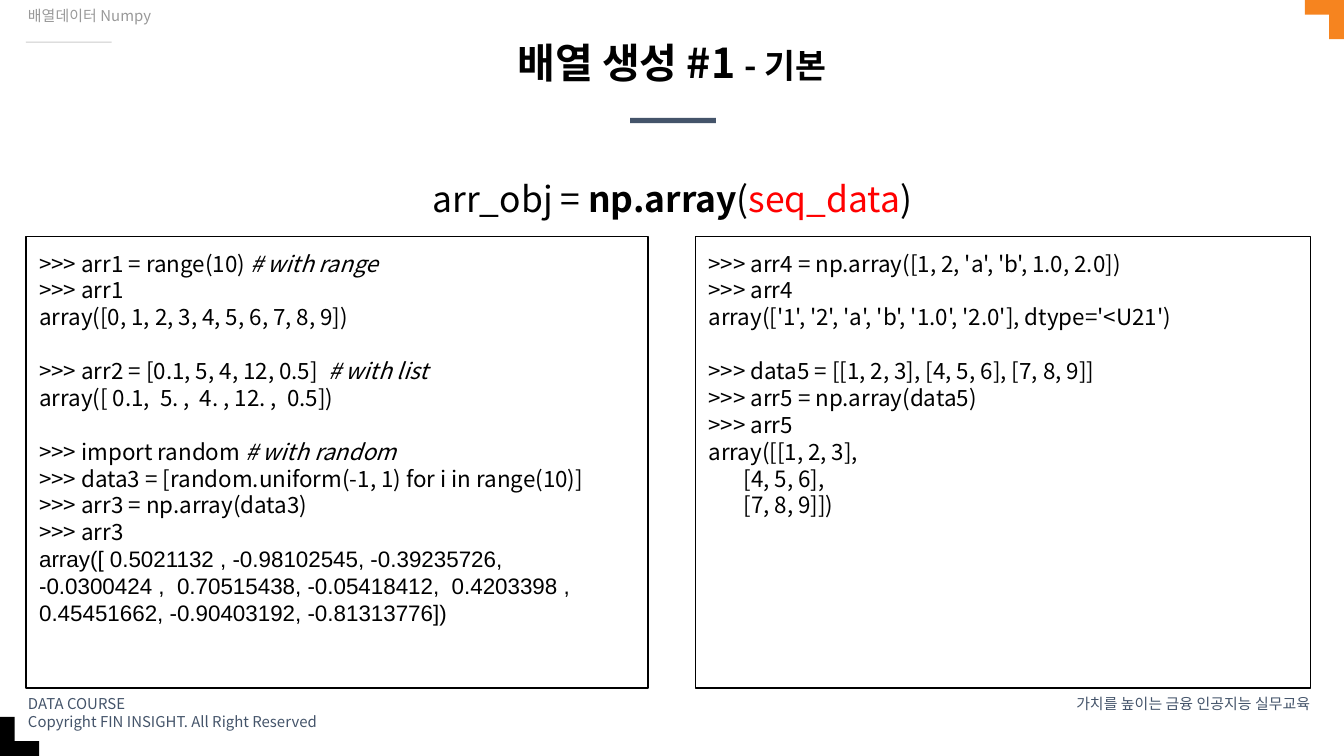
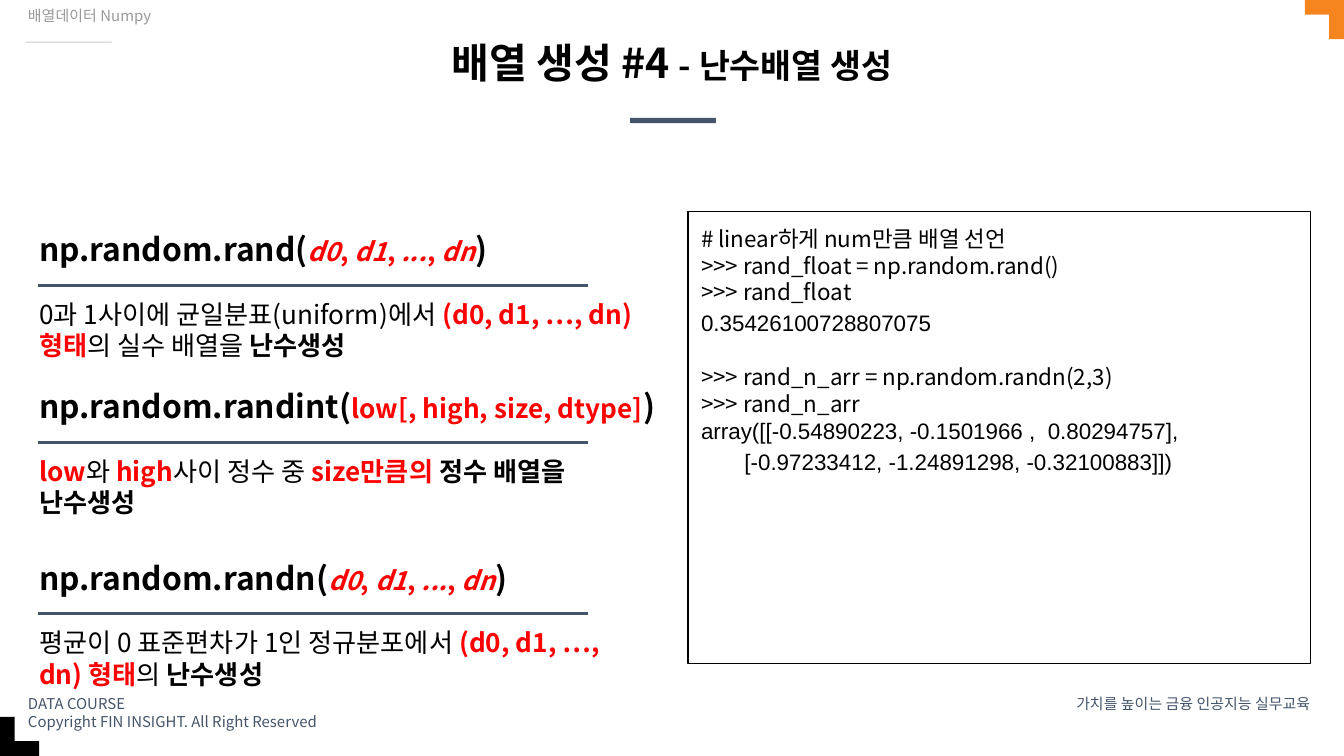
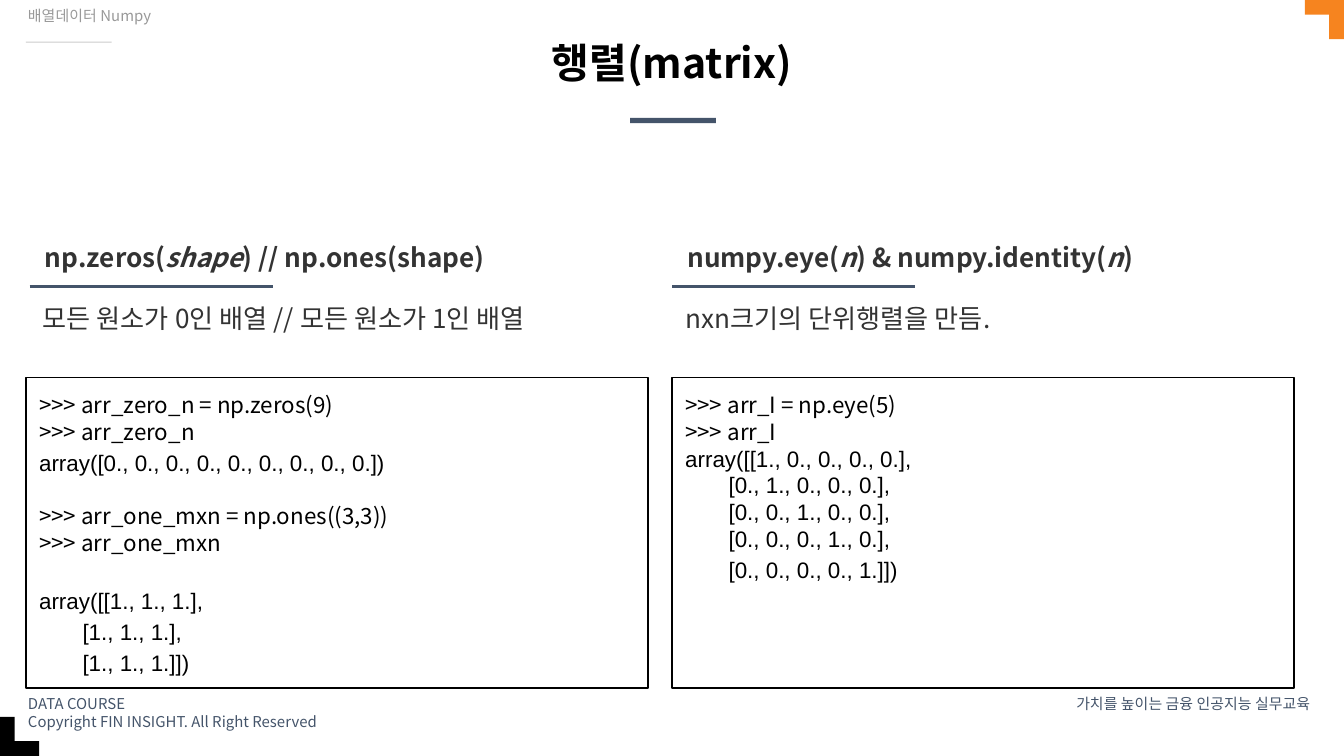
from lxml import etree
from pptx import Presentation
from pptx import util as u
from pptx.dml.color import RGBColor
from pptx.enum import shapes, text
from pptx.oxml import ns

WIDE, HIGH = 25.4, 14.29
SANS, ARIAL = "Noto Sans CJK KR", "Arial"
BLACK, NAVY, GRAY, DARK = "000000", "44546A", "999999", "333333"
RED, ORANGE, RULE = "FF0000", "F6841F", "CCCCCC"
LEFT, MID, RIGHT = text.PP_ALIGN.LEFT, text.PP_ALIGN.CENTER, text.PP_ALIGN.RIGHT
TOP, CENTER = text.MSO_ANCHOR.TOP, text.MSO_ANCHOR.MIDDLE
GAP = 14.4

BOLD = {"bold": True}
ITAL = {"italic": True}
HOT = {"bold": True, "hue": RED}
ARG = {"bold": True, "hue": RED, "size": 14}
ARGI = {**ARG, "italic": True}


def color(hue):
    return RGBColor.from_string(hue)


def place(box):
    return [u.Cm(n) for n in box]


def add_run(para, words, size, hue=BLACK, font=SANS, bold=False, italic=False):
    run = para.add_run()
    run.text = words
    face = run.font
    face.size, face.bold, face.italic = u.Pt(size), bold, italic
    face.color.rgb = color(hue)
    face.name = font
    east = etree.SubElement(run._r.get_or_add_rPr(), ns.qn("a:ea"))
    east.set("typeface", font)


def set_frame(frame, pad, anchor=TOP):
    frame.word_wrap = True
    frame.auto_size = text.MSO_AUTO_SIZE.NONE
    frame.vertical_anchor = anchor
    frame.margin_left = frame.margin_right = u.Cm(pad[0])
    frame.margin_top = frame.margin_bottom = u.Cm(pad[1])


def next_para(frame, index, align=LEFT):
    para = frame.add_paragraph() if index else frame.paragraphs[0]
    para.alignment = align
    return para


def write(frame, lines, align=LEFT, **base):
    for index, runs in enumerate(lines):
        para = next_para(frame, index, align)
        for words, style in runs:
            add_run(para, words, **{**base, **style})


def label(slide, box, lines, pad=(0.25, 0.25), anchor=TOP, **base):
    frame = slide.shapes.add_textbox(*place(box)).text_frame
    set_frame(frame, pad, anchor)
    write(frame, lines, **base)


def bar(slide, box, hue):
    shape = slide.shapes.add_shape(shapes.MSO_SHAPE.RECTANGLE, *place(box))
    shape.shadow.inherit = False
    shape.fill.solid()
    shape.fill.fore_color.rgb = color(hue)
    shape.line.fill.background()


def rule(slide, x, y, width):
    line = slide.shapes.add_connector(
        shapes.MSO_CONNECTOR.STRAIGHT, *place((x, y, x + width, y)))
    line.line.color.rgb = color(NAVY)
    line.line.width = u.Pt(1.5)
    etree.SubElement(line._element.spPr, ns.qn("a:effectLst"))


def code(slide, box, blocks):
    pane = slide.shapes.add_shape(shapes.MSO_SHAPE.RECTANGLE, *place(box))
    pane.shadow.inherit = False
    pane.fill.background()
    pane.line.color.rgb = color(BLACK)
    pane.line.width = u.Pt(0.75)
    frame = pane.text_frame
    set_frame(frame, (0.25, 0.25))
    count = 0
    for block in blocks:
        for row, item in enumerate(block):
            words, font, space = (item, SANS, None) if isinstance(item, str) else item
            para = next_para(frame, count)
            if count and not row:
                para.space_before = u.Pt(GAP)
            if space:
                para.line_spacing = space
            head, mark, note = words.partition("# ")
            if head and mark:
                add_run(para, head, 12, font=font)
                add_run(para, mark + note, 12, font=font, italic=True)
            else:
                add_run(para, words, 12, font=font)
            count += 1


def out(words, space=None):
    return words, ARIAL, space


def corner(slide, x, y, side, edge, hue):
    long, thin = 0.74, 0.28
    bar(slide, (x, y + edge * (long - thin), long, thin), hue)
    bar(slide, (x + side * (long - thin), y, thin, long), hue)


def base(deck, title):
    slide = deck.slides.add_slide(deck.slide_layouts[5])
    bar(slide, (11.91, 2.23, 1.62, 0.1), NAVY)
    bar(slide, (0.49, 0.79, 1.62, 0.02), RULE)
    corner(slide, 0, HIGH - 0.74, 0, 1, BLACK)
    corner(slide, WIDE - 0.74, 0, 1, 0, ORANGE)
    thin = (0.25, 0.13)
    label(slide, (0.28, 13, 7.57, 0.69),
          [[("DATA COURSE", {})], [("Copyright FIN INSIGHT. All Right Reserved", {})]],
          thin, size=8, hue=NAVY)
    label(slide, (19.71, 13, 5.31, 0.43), [[("가치를 높이는 금융 인공지능 실무교육", {})]],
          thin, align=RIGHT, size=8, hue=NAVY)
    label(slide, (0.28, 0, 7.21, 1.02), [[("배열데이터 Numpy", {})]],
          thin, size=8, hue=GRAY)
    head = slide.shapes.title
    head.left, head.top, head.width, head.height = place((2.77, 0.76, 19.86, 1.02))
    set_frame(head.text_frame, (0.1, 0.05))
    write(head.text_frame, [title], MID, size=22, bold=True)
    head.text_frame.paragraphs[0].line_spacing = 0.9
    return slide


def entry(slide, x, y, head, body):
    label(slide, (x, y - 1.38, 12.22, 1.4), [head], anchor=CENTER, size=17, bold=True)
    rule(slide, x + 0.23, y, 10.39)
    label(slide, (x, y, 11.76, 1.22), [body], size=14)


def topic(slide, x, head, body):
    y = 5.41
    label(slide, (x + 0.04, y - 1.09, 11.9, 2.2), [head], size=14, hue=DARK, bold=True)
    rule(slide, x, y, 4.59)
    label(slide, (x, y + 0.05, 11.72, 2.2), [[(body, {})]], size=14, hue=DARK)


def basics(deck):
    slide = base(deck, [("배열 생성 #1 ", {}), ("- 기본", {"size": 18})])
    y, high = 4.47, 8.54
    code(slide, (0.49, y, 11.76, high), [
        [">>> arr1 = range(10) # with range", ">>> arr1",
         "array([0, 1, 2, 3, 4, 5, 6, 7, 8, 9])"],
        [">>> arr2 = [0.1, 5, 4, 12, 0.5]  # with list",
         "array([ 0.1,  5. ,  4. , 12. ,  0.5])"],
        [">>> import random # with random",
         ">>> data3 = [random.uniform(-1, 1) for i in range(10)]",
         ">>> arr3 = np.array(data3)", ">>> arr3",
         out("array([ 0.5021132 , -0.98102545, -0.39235726, -0.0300424 ,  "
             "0.70515438, -0.05418412,  0.4203398 ,  0.45451662, "
             "-0.90403192, -0.81313776])")]])
    label(slide, (6.6, 3.1, 12.22, 1.4),
          [[("arr_obj = ", {}), ("np.array", BOLD), ("(", {}),
            ("seq_data", {"hue": RED}), (")", {})]], align=MID, size=19)
    code(slide, (13.14, y, 11.63, high), [
        [">>> arr4 = np.array([1, 2, 'a', 'b', 1.0, 2.0])", ">>> arr4",
         "array(['1', '2', 'a', 'b', '1.0', '2.0'], dtype='<U21')"],
        [">>> data5 = [[1, 2, 3], [4, 5, 6], [7, 8, 9]]",
         ">>> arr5 = np.array(data5)", ">>> arr5",
         "array([[1, 2, 3],", "       [4, 5, 6],", "       [7, 8, 9]])"]])


def randoms(deck):
    slide = base(deck, [("배열 생성 #4 ", {}), ("- 난수배열 생성", {"size": 18})])
    code(slide, (13, 4, 11.77, 8.54), [
        ["# linear하게 num만큼 배열 선언", ">>> rand_float = np.random.rand()",
         ">>> rand_float", out("0.35426100728807075", 1.15)],
        [">>> rand_n_arr = np.random.randn(2,3)", ">>> rand_n_arr",
         out("array([[-0.54890223, -0.1501966 ,  0.80294757],"),
         out("       [-0.97233412, -1.24891298, -0.32100883]])", 1.15)]])
    dims = [("d0", ARGI), (", ", ARG), ("d1", ARGI), (", ", ARG),
            ("...", ARGI), (", ", ARG), ("dn", ARGI), (")", {})]
    form = ("(d0, d1, …, dn) 형태", HOT)
    made = ("난수생성", BOLD)
    items = [
        (5.39, [("np.random.rand(", {})] + dims,
         [("0과 1사이에 균일분표(uniform)에서 ", {}), form, ("의 실수 배열을 ", {}), made]),
        (8.36, [("np.random.randint(", {}), ("low[, high, size, dtype]", ARG), (")", {})],
         [("low", HOT), ("와", {}), (" high", HOT), ("사이 정수 중", {}),
          (" size만큼의 ", HOT), ("정수 배열을 난수생성", BOLD)]),
        (11.6, [("np.random.randn(", {})] + dims,
         [("평균이 0 표준편차가 1인 정규분포에서 ", {}), form, ("의 ", {}), made])]
    for y, head, body in items:
        entry(slide, 0.49, y, head, body)


def matrix(deck):
    slide = base(deck, [("행렬(matrix)", {})])
    topic(slide, 0.56,
          [("np.zeros(", {}), ("shape", ITAL), (") // np.ones(shape)", {})],
          "모든 원소가 0인 배열 // 모든 원소가 1인 배열")
    topic(slide, 12.7,
          [("numpy.eye(", {}), ("n", ITAL), (") & numpy.identity(", {}),
           ("n", ITAL), (")", {})],
          "nxn크기의 단위행렬을 만듬.")
    y, wide, high = 7.14, 11.76, 5.87
    code(slide, (0.49, y, wide, high), [
        [">>> arr_zero_n = np.zeros(9)", ">>> arr_zero_n",
         out("array([0., 0., 0., 0., 0., 0., 0., 0., 0.])", 1.15)],
        [">>> arr_one_mxn = np.ones((3,3))", ">>> arr_one_mxn"],
        [out("array([[1., 1., 1.],", 1.15), out("       [1., 1., 1.],", 1.15),
         out("       [1., 1., 1.]])", 1.15)]])
    code(slide, (12.7, y, wide, high), [
        [">>> arr_I = np.eye(5)", ">>> arr_I",
         out("array([[1., 0., 0., 0., 0.],"), out("       [0., 1., 0., 0., 0.],"),
         out("       [0., 0., 1., 0., 0.],"), out("       [0., 0., 0., 1., 0.],"),
         out("       [0., 0., 0., 0., 1.]])", 1.15)]])


def main():
    deck = Presentation()
    deck.slide_width, deck.slide_height = u.Cm(WIDE), u.Cm(HIGH)
    for make in (basics, randoms, matrix):
        make(deck)
    deck.save("out.pptx")


if __name__ == "__main__":
    main()
